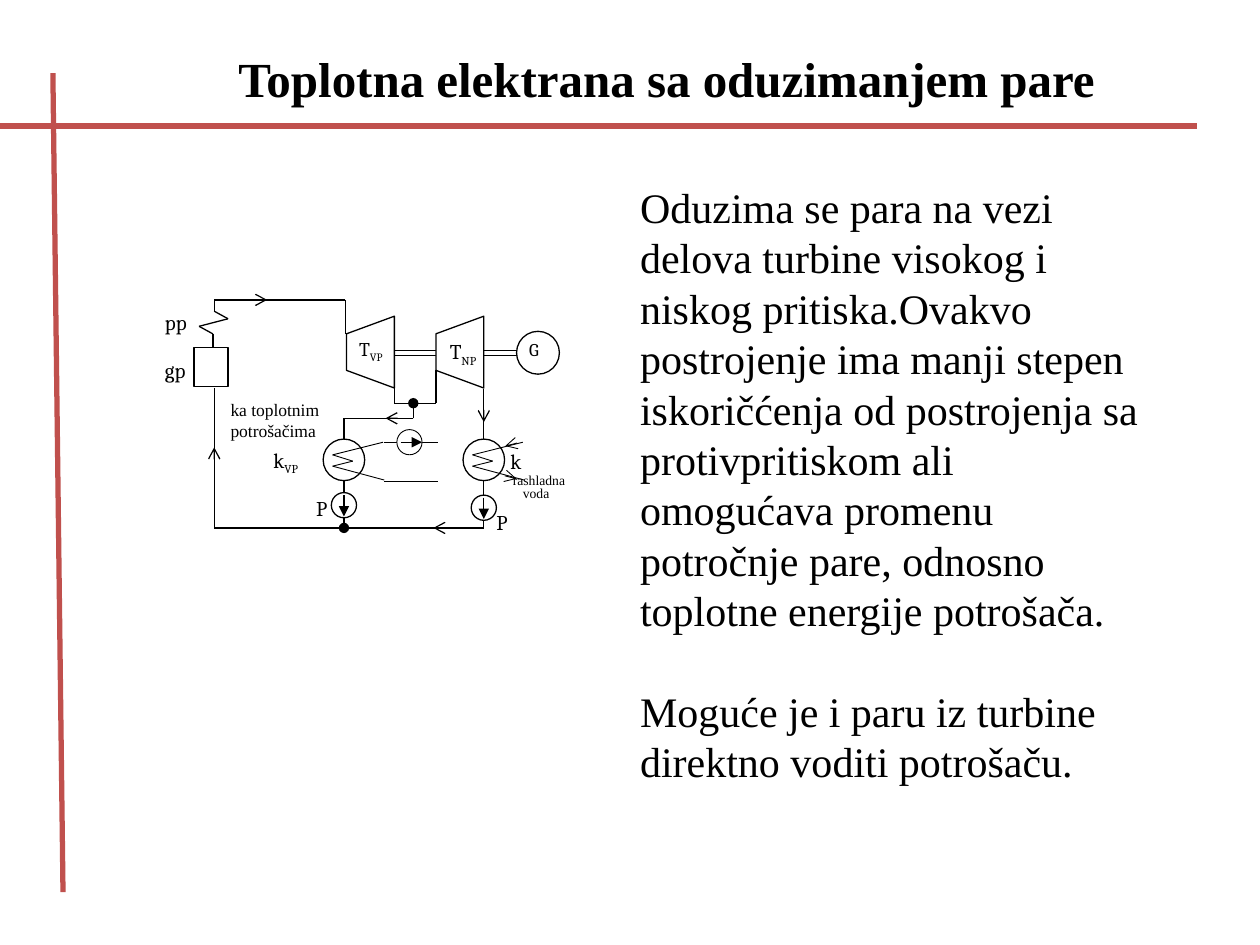
import itertools

import pptx
import pptx.dml.color
import pptx.enum.shapes
import pptx.enum.text
import pptx.oxml.ns
import pptx.util
from lxml import etree

Inches = pptx.util.Inches
Pt = pptx.util.Pt
SHAPES = pptx.enum.shapes.MSO_SHAPE
BLACK, WHITE, RED = "000000", "FFFFFF", "C0504D"
SERIF, LABEL = "Times New Roman", "Cambria"

TITLE = "Toplotna elektrana sa oduzimanjem pare"
BODY = [
    "Oduzima se para na vezi delova turbine visokog i niskog pritiska."
    "Ovakvo postrojenje ima manji stepen iskoričćenja od postrojenja sa "
    "protivpritiskom ali omogućava promenu potročnje pare, odnosno "
    "toplotne energije potrošača.",
    "Moguće je i paru iz turbine direktno voditi potrošaču.",
]

FRAME_LINES = [[(0, 1), (9.5, 1)], [(0.42, 0.58), (0.5, 7.08)]]

# Pipes as chains of points
PIPES = [
    [(1.7, 2.47), (1.7, 2.38), (2.74, 2.38), (2.74, 2.65)],
    [(1.7, 2.47), (1.81, 2.53), (1.58, 2.59), (1.69, 2.65), (1.69, 2.76)],
    [(1.7, 3.08), (1.7, 4.19), (3.84, 4.19), (3.84, 3.09)],
    [(3.13, 3.08), (3.13, 3.2), (3.46, 3.2), (3.46, 2.94)],
    [(3.28, 3.32), (2.73, 3.32), (2.73, 4.11)],
]
THIN_PIPES = [[(3.05, y), (3.48, y)] for y in (3.51, 3.82)]
SHAFTS = [[(left, y), (right, y)]
          for left, right in ((3.13, 3.46), (3.84, 4.1)) for y in (2.78, 2.82)]

FLOW_ARROWS = [
    ((2.05, 2.38), (2.12, 2.38)), ((3.84, 3.28), (3.84, 3.35)),
    ((3.51, 4.19), (3.44, 4.19)), ((1.7, 3.63), (1.7, 3.55)),
    ((3.14, 3.32), (3.06, 3.32)),
]
COOLING_ARROWS = [((4.09, 3.52), (4.01, 3.54)), ((4.02, 3.78), (4.1, 3.8))]
JUNCTIONS = [((3.28, 3.32), (3.28, 3.2)), ((2.73, 4.11), (2.73, 4.19))]

BOILER = (1.54, 2.76, 0.27, 0.31)
GENERATOR = (4.27, 2.8)
EXCHANGERS = [(2.73, 3.65), (3.84, 3.65)]
COIL = [(0.31, -0.14), (-0.09, -0.04), (0.07, 0.01), (-0.09, 0.05), (0.32, 0.16)]
TURBINE_RIGHT_EDGES = [3.13, 3.84]
TURBINE = [(0, 2.51), (-0.38, 2.65), (-0.38, 2.94), (0, 3.08)]

# Pump centre, arrow start, arrow end, line width
PUMPS = [
    ((2.73, 4.01), (2.73, 3.93), (2.73, 4.1), 0.75),
    ((3.84, 4.03), (3.84, 3.95), (3.84, 4.12), 0.75),
    ((3.25, 3.51), (3.18, 3.51), (3.35, 3.51), 0.5),
]

# Box, lines of (text, subscript), size, font, line spacing
LABELS = [
    ((1.31, 2.84, 0.27, 0.21), [("gp", "")], 12, LABEL, 1),
    ((1.31, 2.46, 0.46, 0.34), [("pp", "")], 12, LABEL, 1),
    ((2.51, 3.93, 0.12, 0.21), [("P", "")], 12, LABEL, 1),
    ((3.94, 4.04, 0.12, 0.21), [("P", "")], 12, LABEL, 1),
    ((4.05, 3.56, 0.12, 0.21), [("k", "")], 12, LABEL, 1),
    ((2.17, 3.55, 0.38, 0.28), [("k", "VP")], 12, LABEL, 1),
    ((4.2, 2.71, 0.13, 0.19), [("G", "")], 10.2, LABEL, 0.9),
    ((2.85, 2.68, 0.32, 0.23), [("T", "VP")], 11.1, LABEL, 0.9),
    ((3.57, 2.69, 0.43, 0.31), [("T", "NP")], 12, LABEL, 1),
    ((1.83, 3.17, 1.04, 0.4), [("ka toplotnim", ""), ("potrošačima", "")], 10, SERIF, 1),
    ((4.07, 3.77, 0.68, 0.14), [("rashladna", "")], 7.8, SERIF, 0.8),
    ((4.15, 3.87, 0.6, 0.14), [("voda", "")], 7.8, SERIF, 0.8),
]


def rgb(value):
    return pptx.dml.color.RGBColor.from_string(value)


def add_line(start, end, width=0.75, color=BLACK, arrow=None):
    line = slide.shapes.add_connector(
        pptx.enum.shapes.MSO_CONNECTOR.STRAIGHT, *map(Inches, start + end))
    line.line.width = Pt(width)
    line.line.color.rgb = rgb(color)
    if arrow:
        tail = etree.SubElement(line.line._get_or_add_ln(), pptx.oxml.ns.qn("a:tailEnd"))
        tail.set("type", arrow)
    etree.SubElement(line._element.spPr, pptx.oxml.ns.qn("a:effectLst"))


def add_chain(points, width=0.75):
    for start, end in itertools.pairwise(points):
        add_line(start, end, width)


def outline(shape, width=0.75):
    shape.shadow.inherit = False
    shape.fill.solid()
    shape.fill.fore_color.rgb = rgb(WHITE)
    shape.line.color.rgb = rgb(BLACK)
    shape.line.width = Pt(width)


def add_circle(center, size, width=0.75):
    x, y = center
    outline(slide.shapes.add_shape(
        SHAPES.OVAL, *map(Inches, (x - size / 2, y - size / 2, size, size))), width)


def place(shape, box):
    shape.left, shape.top, shape.width, shape.height = map(Inches, box)


def style(font, size, name, bold=False):
    font.size, font.name, font.bold = Pt(size), name, bold
    font.color.rgb = rgb(BLACK)


def add_label(box, lines, size, font_name, spacing):
    frame = slide.shapes.add_textbox(*map(Inches, box)).text_frame
    frame.word_wrap = True
    frame.margin_left = frame.margin_right = frame.margin_top = frame.margin_bottom = 0
    for number, (text, subscript) in enumerate(lines):
        paragraph = frame.add_paragraph() if number else frame.paragraphs[0]
        paragraph.line_spacing = spacing
        for part, baseline in ((text, None), (subscript, "-25000")):
            if part:
                run = paragraph.add_run()
                run.text = part
                style(run.font, size, font_name)
                if baseline:
                    run._r.get_or_add_rPr().set("baseline", baseline)


deck = pptx.Presentation()
deck.slide_width, deck.slide_height = Inches(10), Inches(7.5)
slide = deck.slides.add_slide(deck.slide_layouts[1])

title, body = slide.placeholders
place(title, (0.58, 0.33, 9.42, 0.57))
title.text_frame.text = TITLE
title.text_frame.paragraphs[0].alignment = pptx.enum.text.PP_ALIGN.CENTER
style(title.text_frame.paragraphs[0].runs[0].font, 28, SERIF, bold=True)

place(body, (4.98, 1.39, 4.17, 5.3))
body.text_frame.text = "\n".join(BODY)
for number, paragraph in enumerate(body.text_frame.paragraphs):
    properties = paragraph._p.get_or_add_pPr()
    properties.set("marL", "0")
    properties.set("indent", "0")
    etree.SubElement(properties, pptx.oxml.ns.qn("a:buNone"))
    paragraph.line_spacing = Pt(28.8)
    paragraph.space_before = Pt(28.8 if number else 0)
    style(paragraph.runs[0].font, 24, SERIF)

for start, end in FRAME_LINES:
    add_line(start, end, 3, RED)
for pipe in PIPES:
    add_chain(pipe)
for line in THIN_PIPES + SHAFTS:
    add_chain(line, 0.5)
for start, end in FLOW_ARROWS:
    add_line(start, end, arrow="arrow")
for start, end in JUNCTIONS:
    add_line(start, end, arrow="oval")

outline(slide.shapes.add_shape(SHAPES.RECTANGLE, *map(Inches, BOILER)))
add_circle(GENERATOR, 0.34)
for edge in TURBINE_RIGHT_EDGES:
    corners = [(Inches(edge + x), Inches(y)) for x, y in TURBINE]
    builder = slide.shapes.build_freeform(*corners[0])
    builder.add_line_segments(corners[1:], close=True)
    outline(builder.convert_to_shape())
for x, y in EXCHANGERS:
    add_circle((x, y), 0.33)
    add_chain([(x + dx, y + dy) for dx, dy in COIL], 0.5)
for start, end in COOLING_ARROWS:
    add_line(start, end, 0.5, arrow="arrow")
for center, start, end, width in PUMPS:
    add_circle(center, 0.2, width)
    add_line(start, end, width, arrow="triangle")
for label in LABELS:
    add_label(*label)

deck.save("out.pptx")
